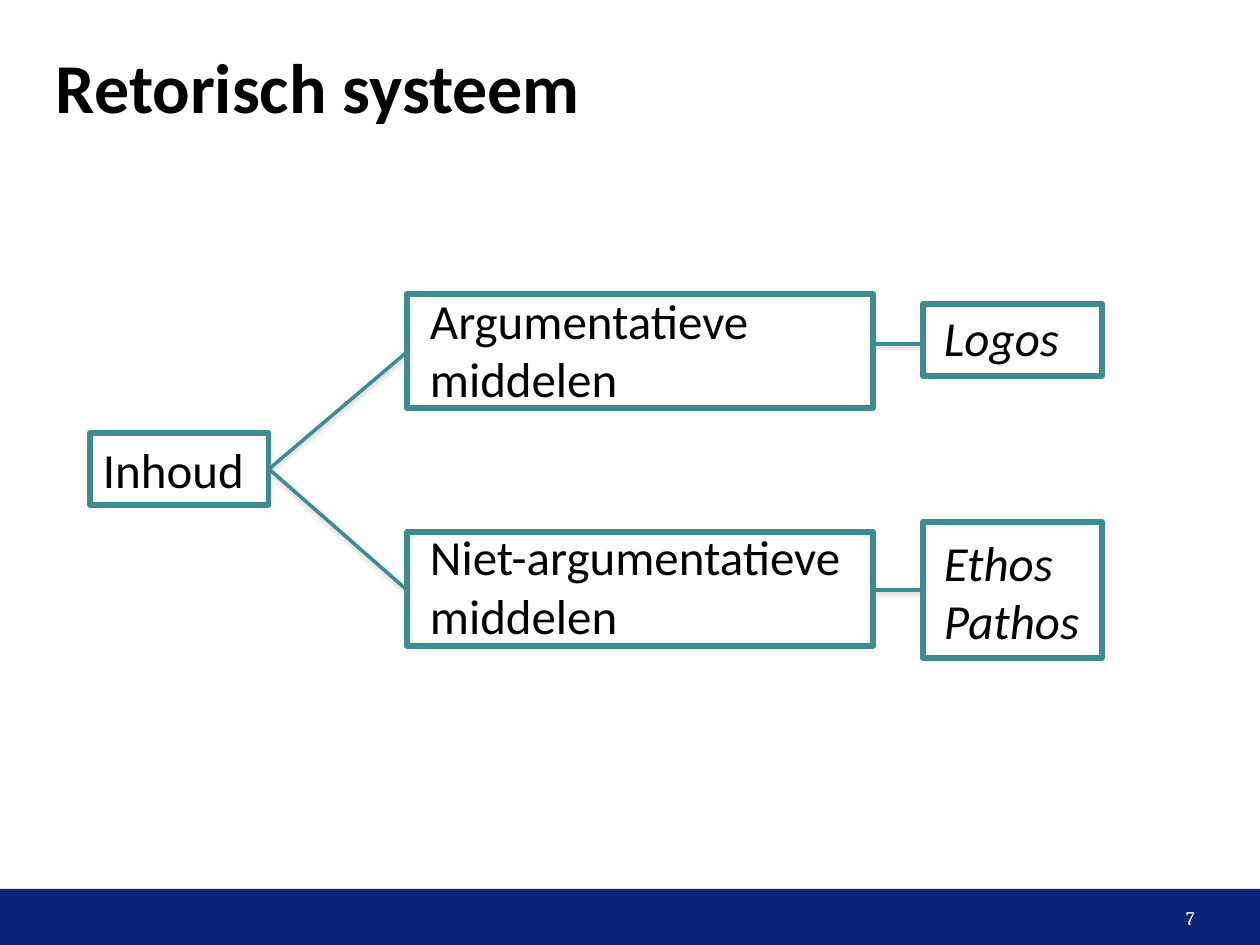
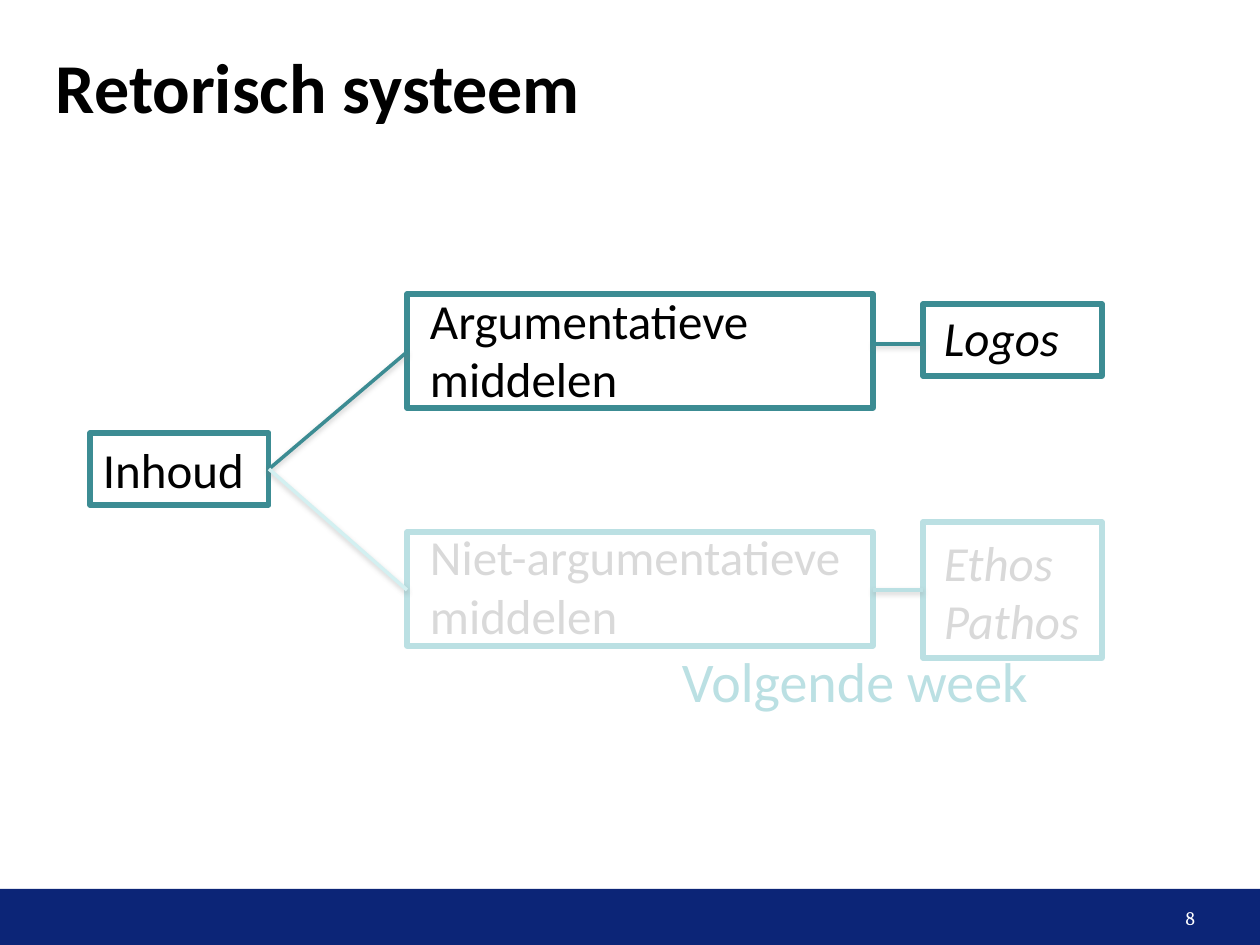
from dataclasses import dataclass

from lxml import etree
from pptx import Presentation
from pptx.dml.color import RGBColor
from pptx.enum.shapes import MSO_CONNECTOR, MSO_SHAPE
from pptx.enum.text import MSO_ANCHOR, PP_ALIGN
from pptx.oxml.ns import qn
from pptx.util import Emu, Pt

RECTANGLE = MSO_SHAPE.RECTANGLE
STRAIGHT = MSO_CONNECTOR.STRAIGHT
TOP, MIDDLE = MSO_ANCHOR.TOP, MSO_ANCHOR.MIDDLE
LEFT, RIGHT = PP_ALIGN.LEFT, PP_ALIGN.RIGHT
EMU_PER_PX = 914400 / 126
SLIDE_WIDTH, SLIDE_HEIGHT = 1260, 945


@dataclass(frozen=True)
class Theme:
    font: str = "Calibri"
    number_font: str = "Cambria"
    text: str = "000000"
    faded_text: str = "D9D9D9"
    accent: str = "3C8C93"
    faded_accent: str = "BBE0E3"
    faded_branch: str = "D3F0F1"
    band: str = "0C2577"
    white: str = "FFFFFF"
    shadow: str = "808080"
    title_size: int = 40
    note_size: int = 32
    body_size: int = 28
    number_size: int = 11
    box_line: int = 3
    link_line: int = 2


THEME = Theme()

TITLE = "Retorisch systeem"
SLIDES = [
    {"number": 7, "lower_faded": False, "note": None},
    {"number": 8, "lower_faded": True, "note": "Volgende week"},
]

# Text columns: frame, italic, then (line, space before in points, in lower branch)
COLUMNS = [
    ((90, 433, 179, 72), False, [("Inhoud", 0, False)]),
    ((417, 284, 445, 369), False, [
        ("Argumentatieve", 0, False), ("middelen", 0, False),
        ("Niet-argumentatieve", 68, True), ("middelen", 0, True)]),
    ((931, 301, 175, 360), True, [
        ("Logos", 0, False), ("Ethos", 95, True), ("Pathos", 0, True)]),
]

# Boxes: left, top, width, height, in lower branch
ROOT_X, MEANS_X, MODES_X = 90, 407, 923
SMALL_WIDTH, MEANS_WIDTH = 179, 466
BOXES = [
    (ROOT_X, 433, SMALL_WIDTH, 72, False),
    (MEANS_X, 294, MEANS_WIDTH, 114, False),
    (MEANS_X, 532, MEANS_WIDTH, 114, True),
    (MODES_X, 304, SMALL_WIDTH, 72, False),
    (MODES_X, 522, SMALL_WIDTH, 136, True),
]

# Links: start, end, in lower branch, colour when faded
ROOT_END = (ROOT_X + SMALL_WIDTH, 469)
MEANS_END = MEANS_X + MEANS_WIDTH
LINKS = [
    (ROOT_END, (MEANS_X, 352), False, None),
    (ROOT_END, (MEANS_X, 590), True, THEME.faded_branch),
    ((MEANS_END, 590), (MODES_X, 590), True, THEME.faded_accent),
    ((MEANS_END, 344), (MODES_X, 344), False, None),
]


def px(*lengths):
    return [Emu(round(length * EMU_PER_PX)) for length in lengths]


def rgb(colour):
    return RGBColor.from_string(colour)


def add_text(slide, frame, lines, *, size=THEME.body_size, font=THEME.font,
             colour=THEME.text, bold=False, italic=False, align=LEFT,
             anchor=TOP, insets=(13, 6)):
    """Each line is a (text, space before, colour or None) tuple, or a string."""
    text_frame = slide.shapes.add_textbox(*px(*frame)).text_frame
    text_frame.word_wrap = True
    text_frame.vertical_anchor = anchor
    across, down = px(*insets)
    text_frame.margin_left = text_frame.margin_right = across
    text_frame.margin_top = text_frame.margin_bottom = down
    for index, line in enumerate(lines):
        text, space, line_colour = (line, 0, None) if isinstance(line, str) else line
        paragraph = text_frame.add_paragraph() if index else text_frame.paragraphs[0]
        paragraph.alignment = align
        paragraph.space_before = Pt(space)
        run = paragraph.add_run()
        run.text = text
        run.font.name, run.font.size = font, Pt(size)
        run.font.bold, run.font.italic = bold, italic
        run.font.color.rgb = rgb(line_colour or colour)


def add_rectangle(slide, frame, fill=None, line=None):
    shape = slide.shapes.add_shape(RECTANGLE, *px(*frame))
    shape.shadow.inherit = False
    if fill:
        shape.fill.solid()
        shape.fill.fore_color.rgb = rgb(fill)
    else:
        shape.fill.background()
    if line:
        shape.line.color.rgb = rgb(line)
        shape.line.width = Pt(THEME.box_line)
    else:
        shape.line.fill.background()


def add_link(slide, start, end, colour):
    connector = slide.shapes.add_connector(STRAIGHT, *px(*start, *end))
    connector.line.color.rgb = rgb(colour)
    connector.line.width = Pt(THEME.link_line)
    properties = connector._element.spPr
    effects = etree.SubElement(properties, qn("a:effectLst"))
    shadow = etree.SubElement(effects, qn("a:outerShdw"), blurRad="40000",
                              dist="20000", dir="5400000", rotWithShape="0")
    tint = etree.SubElement(shadow, qn("a:srgbClr"), val=THEME.shadow)
    etree.SubElement(tint, qn("a:alpha"), val="38000")


def add_frame(slide, number):
    """Add the footer band, slide number and title shared by all slides."""
    add_rectangle(slide, (0, 889, SLIDE_WIDTH, 56), fill=THEME.band)
    add_text(slide, (921, 889, 283, 58), [str(number)], size=THEME.number_size,
             font=THEME.number_font, colour=THEME.white, align=RIGHT,
             anchor=MIDDLE, insets=(9, 5))
    add_text(slide, (56, 56, 1148, 59), [TITLE], size=THEME.title_size,
             bold=True, anchor=MIDDLE, insets=(0, 0))


def add_diagram(slide, lower_faded):
    for frame, italic, lines in COLUMNS:
        coloured = [(text, space, THEME.faded_text if lower and lower_faded else None)
                    for text, space, lower in lines]
        add_text(slide, frame, coloured, italic=italic)
    for *frame, lower in BOXES:
        faded = lower and lower_faded
        add_rectangle(slide, frame, line=THEME.faded_accent if faded else THEME.accent)
    for start, end, lower, faded_colour in LINKS:
        faded = lower and lower_faded
        add_link(slide, start, end, faded_colour if faded else THEME.accent)


def main():
    presentation = Presentation()
    presentation.slide_width, presentation.slide_height = px(SLIDE_WIDTH, SLIDE_HEIGHT)
    blank = presentation.slide_layouts[6]
    for content in SLIDES:
        slide = presentation.slides.add_slide(blank)
        add_frame(slide, content["number"])
        add_diagram(slide, content["lower_faded"])
        if content["note"]:
            add_text(slide, (669, 641, 407, 115), [content["note"]],
                     size=THEME.note_size, colour=THEME.faded_accent)
    presentation.save("out.pptx")


if __name__ == "__main__":
    main()
